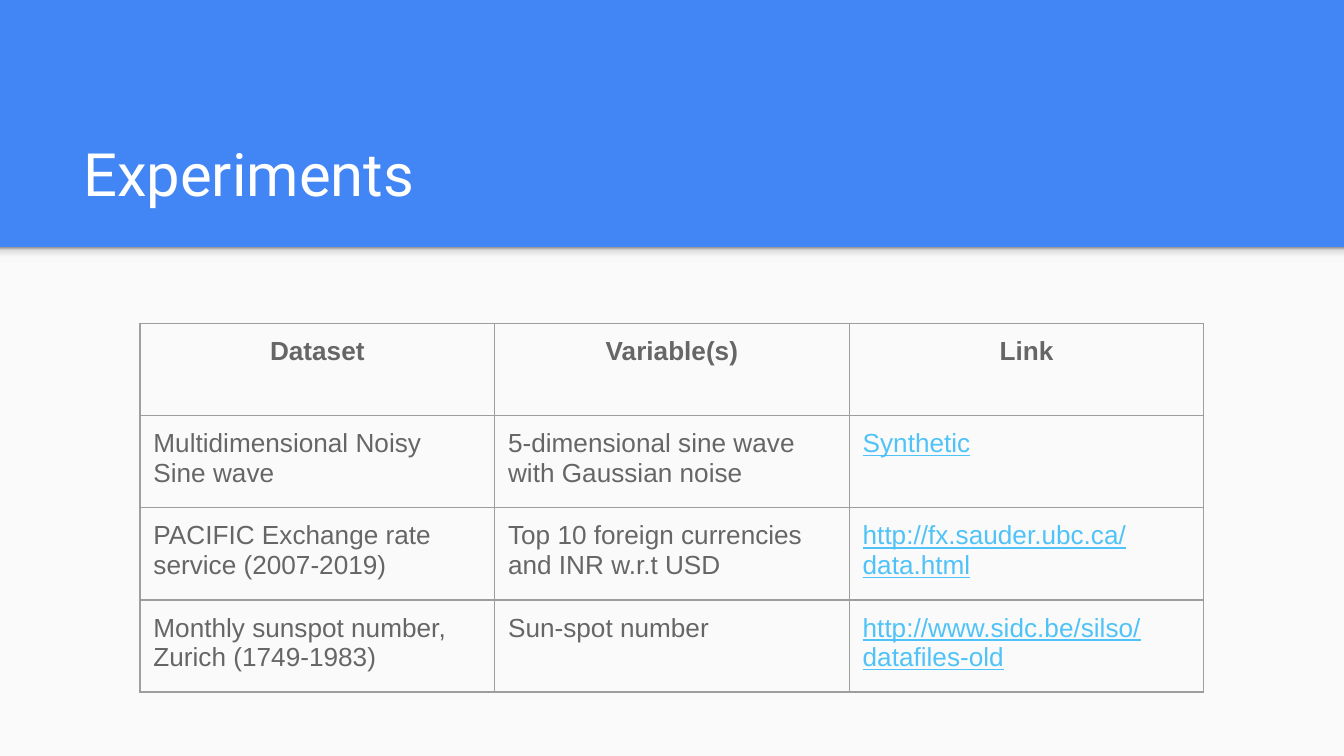
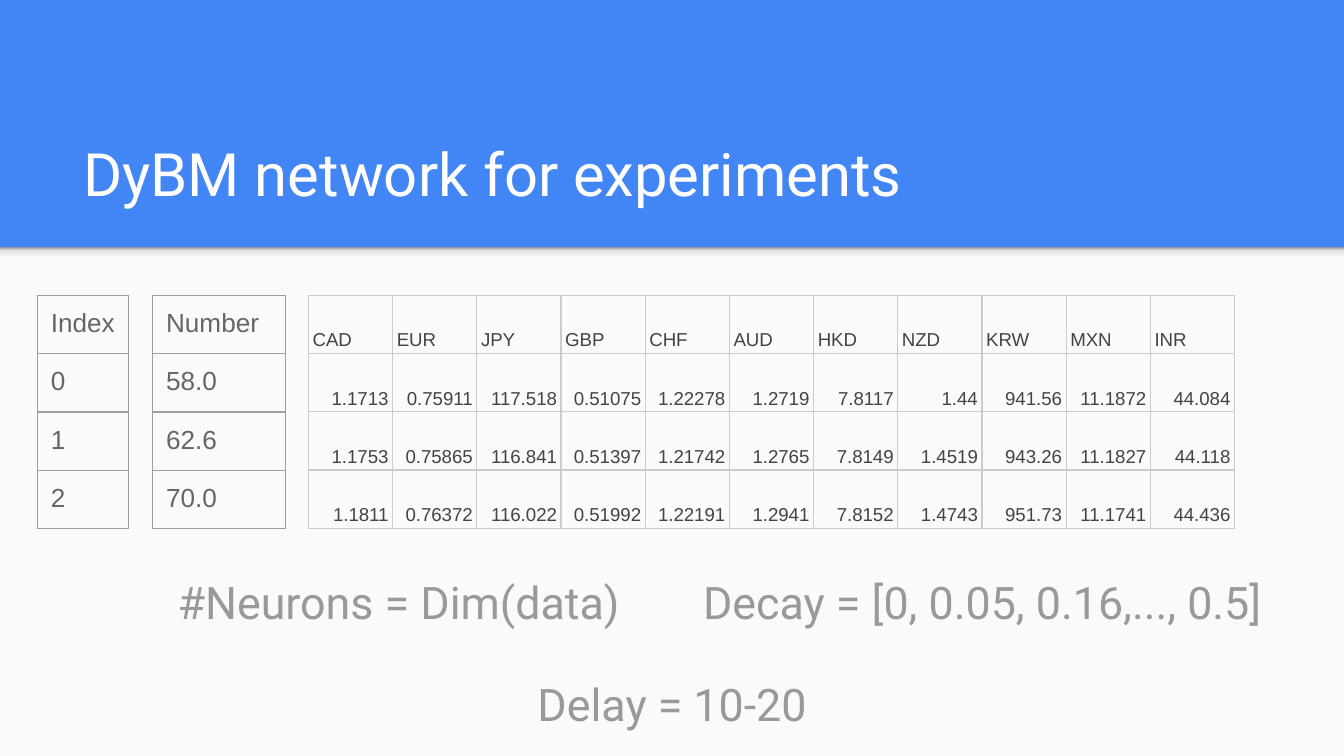
from dataclasses import dataclass

from lxml.etree import SubElement
from pptx import Presentation
from pptx.dml.color import RGBColor
from pptx.enum.shapes import MSO_SHAPE as Preset
from pptx.enum.text import MSO_ANCHOR as Anchor, PP_ALIGN as Align
from pptx.oxml.ns import qn
from pptx.util import Pt

COLORS = {
    "band": "4285F4",
    "panel": "FAFAFA",
    "title": "FFFFFF",
    "caption": "999999",
    "body": "666666",
    "rate": "434343",
    "link": "4FC3F7",
    "grid": "9E9E9E",
    "rate_grid": "CCCCCC",
}
SHADOW_STOPS = [(0, "F9F9F9"), (36, "F9F9F9"), (80, "DEDEDE"), (100, "999999")]
WIDTH, HEIGHT, BAND_HEIGHT = 720, 405, 132.5
TITLE_BOX = (37.5, 58.5, 647, 60.5)

DATASETS = [
    ["Dataset", "Variable(s)", "Link"],
    ["Multidimensional Noisy\nSine wave", "5-dimensional sine wave with Gaussian noise", "Synthetic"],
    ["PACIFIC Exchange rate service (2007-2019)", "Top 10 foreign currencies and INR w.r.t USD",
     "http://fx.sauder.ubc.ca/data.html"],
    ["Monthly sunspot number,\nZurich (1749-1983)", "Sun-spot number",
     "http://www.sidc.be/silso/datafiles-old"],
]
INDEXES = [["Index"], ["0"], ["1"], ["2"]]
SUNSPOTS = [["Number"], ["58.0"], ["62.6"], ["70.0"]]
RATES = [line.split() for line in (
    "CAD EUR JPY GBP CHF AUD HKD NZD KRW MXN INR",
    "1.1713 0.75911 117.518 0.51075 1.22278 1.2719 7.8117 1.44 941.56 11.1872 44.084",
    "1.1753 0.75865 116.841 0.51397 1.21742 1.2765 7.8149 1.4519 943.26 11.1827 44.118",
    "1.1811 0.76372 116.022 0.51992 1.22191 1.2941 7.8152 1.4743 951.73 11.1741 44.436",
)]
CAPTIONS = [
    ("#Neurons = Dim(data)", (20, 283.5, 387, 60.5)),
    ("Decay = [0, 0.05, 0.16,..., 0.5]", (345.5, 283.5, 361.5, 60.5)),
    ("Delay = 10-20", (179.25, 338.25, 361.5, 60.5)),
]


@dataclass
class GridStyle:
    """Look of a table's text, padding and borders."""
    size: float = 14
    color: str = "body"
    border: str = "grid"
    pad_x: float = 7.2
    pad_y: float = 7.2
    anchor: Anchor = Anchor.TOP
    body_align: Align = Align.LEFT
    line_spacing: float = 1.0


PLAIN = GridStyle()
RATE_STYLE = GridStyle(10, "rate", "rate_grid", 2.25, 1.5, Anchor.BOTTOM, Align.RIGHT, 1.15)


def rgb(name):
    """Return the named colour."""
    return RGBColor.from_string(COLORS[name])


def set_font(paragraph, face, size, color):
    """Set face, size and colour of a whole paragraph."""
    font = paragraph.font
    font.name, font.size = face, Pt(size)
    font.color.rgb = rgb(color)


def add_text(slide, box, text, size, color, align=Align.LEFT):
    """Place one bottom-anchored line of Roboto text in a box."""
    frame = slide.shapes.add_textbox(*map(Pt, box)).text_frame
    frame.word_wrap = True
    frame.vertical_anchor = Anchor.BOTTOM
    frame.margin_left = frame.margin_right = frame.margin_top = frame.margin_bottom = Pt(7.2)
    frame.text = text
    line = frame.paragraphs[0]
    line.alignment = align
    set_font(line, "Roboto", size, color)


def add_panel(slide, box):
    """Draw a borderless rectangle and return it."""
    panel = slide.shapes.add_shape(Preset.RECTANGLE, *map(Pt, box))
    panel.shadow.inherit = False
    panel.line.fill.background()
    return panel


def add_titled_slide(deck, title):
    """Add a slide with the blue band, light panel, soft edge and title."""
    slide = deck.slides.add_slide(deck.slide_layouts[6])
    backdrop = slide.background.fill
    backdrop.solid()
    backdrop.fore_color.rgb = rgb("band")

    panel = add_panel(slide, (0, BAND_HEIGHT, WIDTH, HEIGHT - BAND_HEIGHT))
    panel.fill.solid()
    panel.fill.fore_color.rgb = rgb("panel")

    edge = add_panel(slide, (0, BAND_HEIGHT, WIDTH, 8.5))
    edge.fill.gradient()
    edge.fill.gradient_angle = 90
    stops = next(edge.element.iter(qn("a:gsLst")))
    for stop in list(stops):
        stops.remove(stop)
    for percent, color in SHADOW_STOPS:
        stop = SubElement(stops, qn("a:gs"), pos=str(percent * 1000))
        SubElement(stop, qn("a:srgbClr"), val=color)

    add_text(slide, TITLE_BOX, title, 32, "title")
    return slide


def add_borders(cell, color):
    """Give a cell thin borders on all four sides."""
    properties = cell._tc.get_or_add_tcPr()
    for side in ("lnL", "lnR", "lnT", "lnB"):
        line = SubElement(properties, qn(f"a:{side}"), w=str(int(Pt(0.75))))
        fill = SubElement(line, qn("a:solidFill"))
        SubElement(fill, qn("a:srgbClr"), val=COLORS[color])


def add_grid(slide, origin, rows, column_width, row_height, style=PLAIN):
    """Add an unfilled table with equal columns and rows, and return it."""
    left, top = origin
    columns = len(rows[0])
    table = slide.shapes.add_table(
        len(rows), columns, Pt(left), Pt(top),
        Pt(column_width * columns), Pt(row_height * len(rows))).table
    table.first_row = table.horz_banding = False
    for column in table.columns:
        column.width = Pt(column_width)
    for row_index, (row, texts) in enumerate(zip(table.rows, rows)):
        row.height = Pt(row_height)
        for cell, text in zip(row.cells, texts):
            add_borders(cell, style.border)
            cell.fill.background()
            cell.margin_left = cell.margin_right = Pt(style.pad_x)
            cell.margin_top = cell.margin_bottom = Pt(style.pad_y)
            cell.vertical_anchor = style.anchor
            cell.text_frame.text = text
            for paragraph in cell.text_frame.paragraphs:
                paragraph.alignment = style.body_align if row_index else Align.LEFT
                paragraph.line_spacing = style.line_spacing
                set_font(paragraph, "Arial", style.size, style.color)
    return table


def build_experiments(deck):
    """Build the slide that lists the datasets."""
    slide = add_titled_slide(deck, "Experiments")
    table = add_grid(slide, (75, 173.25), DATASETS, 190, 49.4)
    for heading in table.rows[0].cells:
        paragraph = heading.text_frame.paragraphs[0]
        paragraph.alignment = Align.CENTER
        paragraph.font.bold = True
    for row_index in range(1, len(DATASETS)):
        font = table.cell(row_index, 2).text_frame.paragraphs[0].font
        font.color.rgb = rgb("link")
        font.underline = True


def build_network(deck):
    """Build the slide with sample data and network settings."""
    slide = add_titled_slide(deck, "DyBM network for experiments")
    top = 158.25
    add_grid(slide, (20, top), INDEXES, 49, 30)
    add_grid(slide, (81.75, top), SUNSPOTS, 71.25, 30)
    add_grid(slide, (165.25, top), RATES, 45.1, 31.2, RATE_STYLE)
    for text, box in CAPTIONS:
        add_text(slide, box, text, 24, "caption", Align.CENTER)


def main():
    """Build and save the deck."""
    deck = Presentation()
    deck.slide_width, deck.slide_height = Pt(WIDTH), Pt(HEIGHT)
    build_experiments(deck)
    build_network(deck)
    deck.save("out.pptx")


if __name__ == "__main__":
    main()
